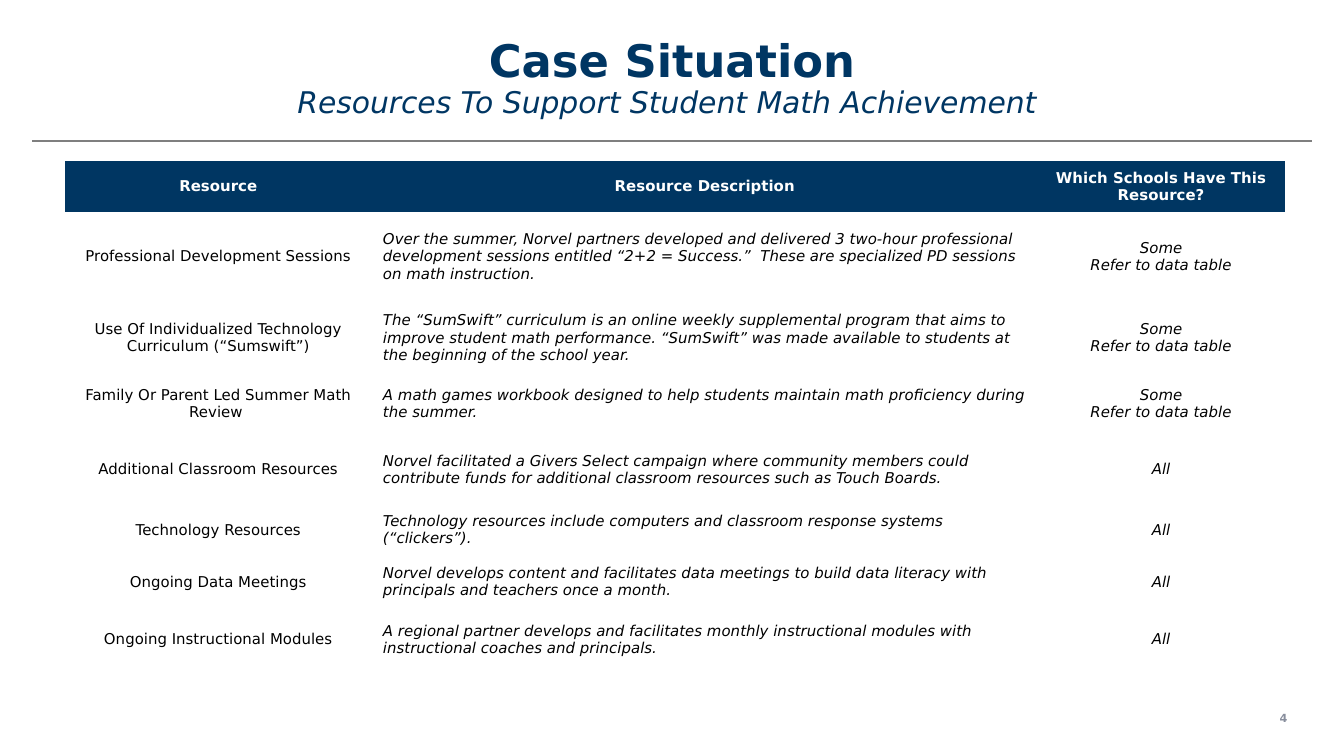
import dataclasses

import lxml.etree
import pptx
import pptx.dml.color
import pptx.enum.shapes
import pptx.enum.text
import pptx.oxml.ns
import pptx.util

Inches = pptx.util.Inches
ALIGN = pptx.enum.text.PP_ALIGN
ANCHOR = pptx.enum.text.MSO_ANCHOR


@dataclasses.dataclass(frozen=True)
class Theme:
    font: str = "DejaVu Sans"
    navy: str = "003663"
    header_fill: str = "003662"
    white: str = "FFFFFF"
    black: str = "000000"
    rule: str = "7F7F7F"
    number: str = "888E9D"
    title_size: int = 24
    subtitle_size: int = 16
    table_size: int = 8
    number_size: int = 6


THEME = Theme()
PLAIN_TABLE_STYLE = "{2D5ABB26-0587-4C30-8999-92F81FD0307C}"
COLUMN_WIDTHS = (2.29, 4.95, 1.84)
ROW_HEIGHTS = (0.38, 0.66, 0.55, 0.43, 0.55, 0.31, 0.43, 0.43)
HEADERS = ("Resource", "Resource Description", "Which Schools Have This Resource?")
SOME = "Some\nRefer to data table"
ALL = "All"
RESOURCES = (
    ("Professional Development Sessions",
     "Over the summer, Norvel partners developed and delivered 3 two-hour professional "
     "development sessions entitled “2+2 = Success.”  These are specialized PD sessions "
     "on math instruction.", SOME),
    ("Use Of Individualized Technology Curriculum (“Sumswift”)",
     "The “SumSwift” curriculum is an online weekly supplemental program that aims to "
     "improve student math performance. “SumSwift” was made available to students at "
     "the beginning of the school year. ", SOME),
    ("Family Or Parent Led Summer Math Review ",
     "A math games workbook designed to help students maintain math proficiency during "
     "the summer.", SOME),
    ("Additional Classroom Resources",
     "Norvel facilitated a Givers Select campaign where community members could "
     "contribute funds for additional classroom resources such as Touch Boards.", ALL),
    ("Technology Resources",
     "Technology resources include computers and classroom response systems "
     "(“clickers”).", ALL),
    ("Ongoing Data Meetings",
     "Norvel develops content and facilitates data meetings to build data literacy with "
     "principals and teachers once a month.", ALL),
    ("Ongoing Instructional Modules",
     "A regional partner develops and facilitates monthly instructional modules with "
     "instructional coaches and principals.", ALL),
)


def rgb(value):
    return pptx.dml.color.RGBColor.from_string(value)


def style_span(span, size, color, bold=False, italic=False):
    span.font.name = THEME.font
    span.font.size = pptx.util.Pt(size)
    span.font.color.rgb = rgb(color)
    span.font.bold = bold
    span.font.italic = italic


def add_text(page, text, left, top, width, height, anchor):
    box = page.shapes.add_textbox(Inches(left), Inches(top), Inches(width), Inches(height))
    frame = box.text_frame
    frame.word_wrap = True
    frame.vertical_anchor = anchor
    frame.margin_left = frame.margin_right = Inches(0.07)
    frame.margin_top = frame.margin_bottom = Inches(0.04)
    para = frame.paragraphs[0]
    para.text = text
    para.alignment = ALIGN.CENTER
    return para


def add_title(page):
    para = add_text(page, "Case Situation\vResources To Support Student Math Achievement ",
                    0.69, 0.25, 8.62, 0.87, ANCHOR.TOP)
    para.line_spacing = 0.9
    title, subtitle = para.runs
    style_span(title, THEME.title_size, THEME.navy, bold=True)
    style_span(subtitle, THEME.subtitle_size, THEME.navy, italic=True)


def add_page_number(page):
    para = add_text(page, "4", 9.41, 5.23, 0.28, 0.22, ANCHOR.MIDDLE)
    style_span(para.runs[0], THEME.number_size, THEME.number, bold=True)


def add_rule(page):
    rule = page.shapes.add_connector(pptx.enum.shapes.MSO_CONNECTOR.STRAIGHT,
                                     Inches(0.24), Inches(1.05), Inches(9.76), Inches(1.05))
    rule.line.color.rgb = rgb(THEME.rule)
    rule.line.width = pptx.util.Pt(1)
    properties = rule.element.find(pptx.oxml.ns.qn("p:spPr"))
    lxml.etree.SubElement(properties, pptx.oxml.ns.qn("a:effectLst"))


def fill_cell(cell, text, is_header, column):
    cell.text_frame.text = text
    cell.vertical_anchor = ANCHOR.MIDDLE
    cell.margin_left = cell.margin_right = Inches(0.08)
    cell.margin_top = cell.margin_bottom = Inches(0.04)
    if is_header:
        cell.fill.solid()
        cell.fill.fore_color.rgb = rgb(THEME.header_fill)
    else:
        cell.fill.background()
    color = THEME.white if is_header else THEME.black
    centered = is_header or column != 1
    for para in cell.text_frame.paragraphs:
        para.alignment = ALIGN.CENTER if centered else ALIGN.LEFT
        for span in para.runs:
            style_span(span, THEME.table_size, color, bold=is_header,
                       italic=not is_header and column > 0)


def add_resource_table(page):
    rows = (HEADERS,) + RESOURCES
    frame = page.shapes.add_table(len(rows), len(HEADERS), Inches(0.48), Inches(1.2),
                                  Inches(sum(COLUMN_WIDTHS)), Inches(sum(ROW_HEIGHTS)))
    table = frame.table
    table.horz_banding = False
    for style in frame.element.iter(pptx.oxml.ns.qn("a:tableStyleId")):
        style.text = PLAIN_TABLE_STYLE
    for column, width in zip(table.columns, COLUMN_WIDTHS):
        column.width = Inches(width)
    for row, height in zip(table.rows, ROW_HEIGHTS):
        row.height = Inches(height)
    for row_index, texts in enumerate(rows):
        for column_index, text in enumerate(texts):
            fill_cell(table.cell(row_index, column_index), text, row_index == 0, column_index)


def main():
    deck = pptx.Presentation()
    deck.slide_width = Inches(10)
    deck.slide_height = deck.slide_width * 9 // 16
    page = deck.slides.add_slide(deck.slide_layouts[6])
    add_page_number(page)
    add_rule(page)
    add_title(page)
    add_resource_table(page)
    deck.save("out.pptx")


main()
